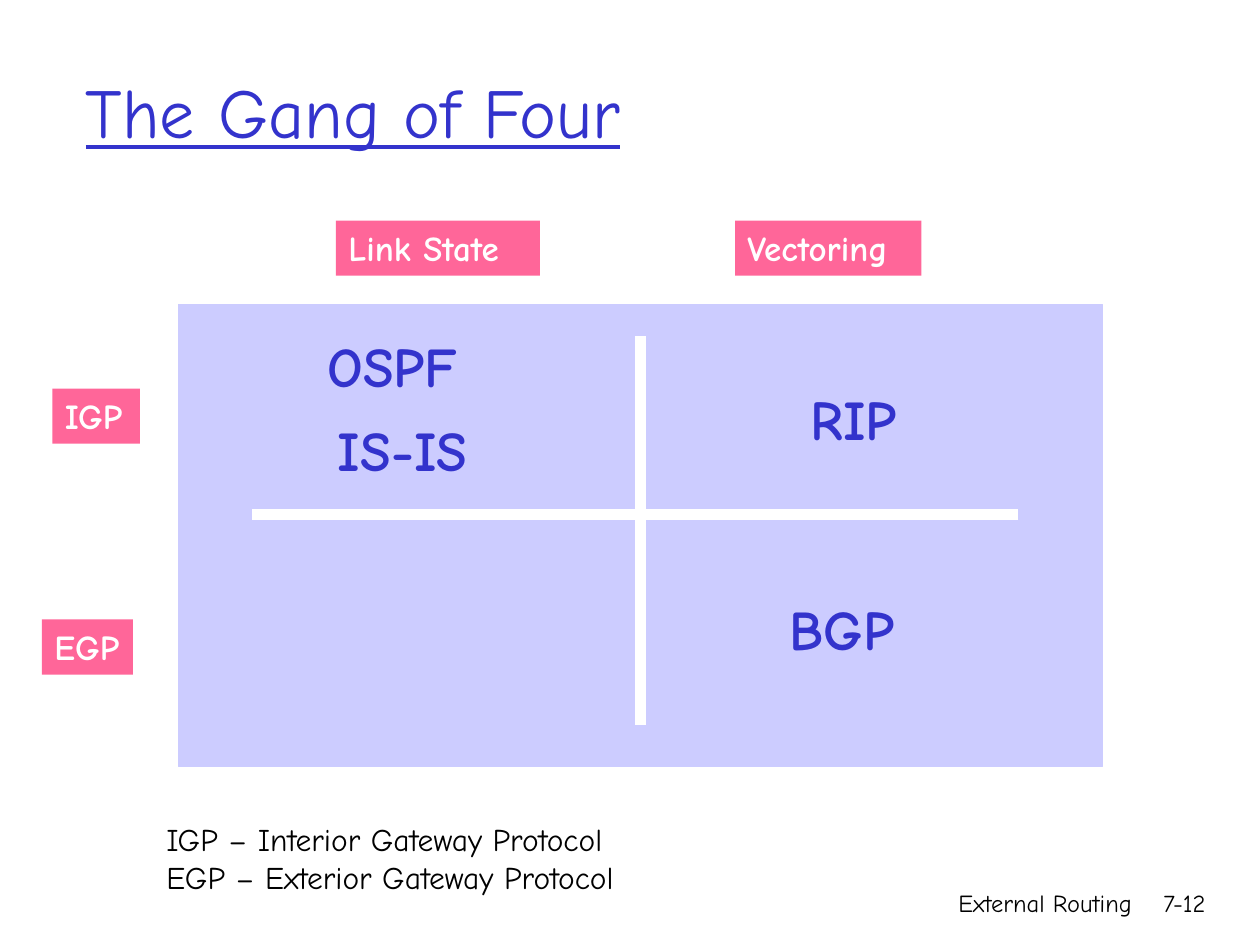
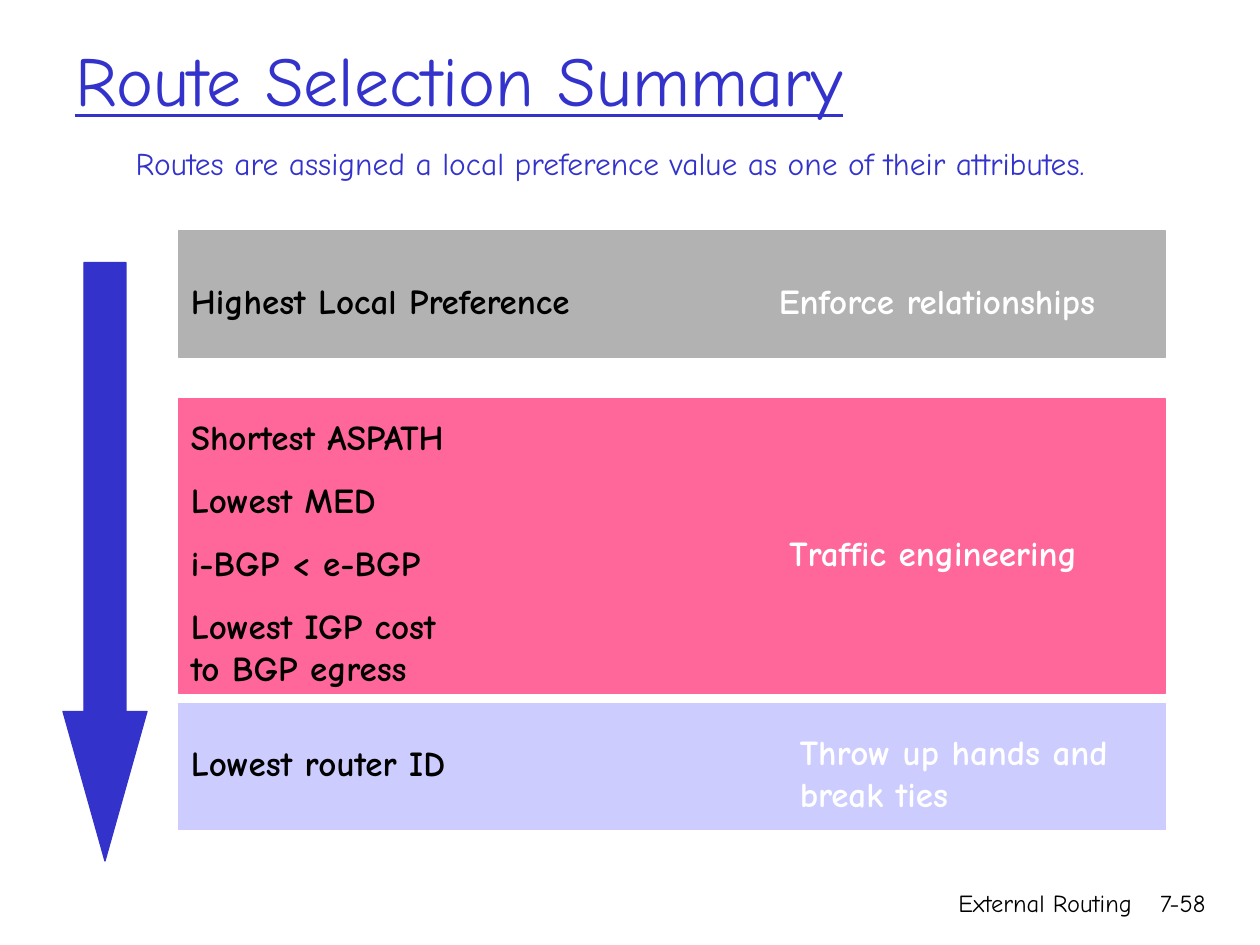
from dataclasses import dataclass

import pptx
import pptx.dml.color
import pptx.enum.shapes
import pptx.enum.text
import pptx.oxml
import pptx.oxml.ns
import pptx.util
from pptx.shapes.autoshape import Shape
from pptx.slide import Slide

Pt = pptx.util.Pt
RECT = pptx.enum.shapes.MSO_SHAPE.RECTANGLE
DOWN_ARROW = pptx.enum.shapes.MSO_SHAPE.DOWN_ARROW
ANCHOR = pptx.enum.text.MSO_ANCHOR
ALIGN = pptx.enum.text.PP_ALIGN
FIT = pptx.enum.text.MSO_AUTO_SIZE

FONT = "Comic Neue"
COLORS = {
    "ink": "000000",
    "white": "FFFFFF",
    "blue": "3333CC",
    "pink": "FF6699",
    "lilac": "CCCCFF",
    "gray": "B2B2B2",
}
LABEL_HEIGHT = 31.5
TWO_LINE_HEIGHT = 55.5


@dataclass(frozen=True)
class Box:
    left: float
    top: float
    width: float
    height: float

    def lengths(self) -> tuple:
        return Pt(self.left), Pt(self.top), Pt(self.width), Pt(self.height)


@dataclass(frozen=True)
class Style:
    size: float
    color: str
    bold: bool = False
    underline: bool = False
    align: ALIGN = ALIGN.LEFT
    anchor: ANCHOR = ANCHOR.TOP
    wrap: bool = True


@dataclass(frozen=True)
class Caption:
    lines: tuple[str, ...]
    box: Box


@dataclass(frozen=True)
class Block:
    box: Box
    color: str


TITLE = Style(40, "blue", underline=True, anchor=ANCHOR.MIDDLE)
FOOTER = Style(14, "ink", align=ALIGN.RIGHT)
LEGEND = Style(18, "ink")
SUBTITLE = Style(18, "blue")
AXIS_LABEL = Style(20, "white", bold=True, wrap=False)
PROTOCOL = Style(32, "blue", bold=True, wrap=False)
CRITERION = Style(20, "ink", bold=True, wrap=False)
PURPOSE = Style(20, "white", bold=True, wrap=False)

AXIS_LABELS = (
    Caption(("Link State",), Box(192, 126, 116.5, LABEL_HEIGHT)),
    Caption(("Vectoring",), Box(420, 126, 106.5, LABEL_HEIGHT)),
    Caption(("EGP",), Box(24, 354, 52, LABEL_HEIGHT)),
    Caption(("IGP",), Box(30, 222, 50, LABEL_HEIGHT)),
)
PROTOCOLS = (
    Caption(("BGP",), Box(444, 336, 89, 45)),
    Caption(("RIP",), Box(456, 216, 75, 45)),
    Caption(("IS-IS",), Box(186, 234, 96.5, 45)),
    Caption(("OSPF",), Box(180, 186, 108.5, 45)),
)
AXES = ((366, 192, 366, 414), (582, 294, 144, 294))

BAND_LEFT, BAND_WIDTH = 102, 564
BANDS = (
    Block(Box(BAND_LEFT, 402, BAND_WIDTH, 72), "lilac"),
    Block(Box(BAND_LEFT, 132, BAND_WIDTH, 72), "gray"),
    Block(Box(BAND_LEFT, 228, BAND_WIDTH, 168), "pink"),
)
CRITERIA = (
    Caption(("Highest Local Preference",), Box(BAND_LEFT, 156, 261, LABEL_HEIGHT)),
    Caption(("Shortest ASPATH",), Box(BAND_LEFT, 234, 193, LABEL_HEIGHT)),
    Caption(("Lowest MED",), Box(BAND_LEFT, 270, 134, LABEL_HEIGHT)),
    Caption(("i-BGP < e-BGP",), Box(BAND_LEFT, 306, 160.5, LABEL_HEIGHT)),
    Caption(("Lowest IGP cost", "to BGP egress"), Box(BAND_LEFT, 342, 182, TWO_LINE_HEIGHT)),
    Caption(("Lowest router ID",), Box(BAND_LEFT, 420, 184, LABEL_HEIGHT)),
)
PURPOSES = (
    Caption(("Traffic engineering",), Box(444, 300, 211.5, LABEL_HEIGHT)),
    Caption(("Enforce relationships",), Box(438, 156, 220.5, LABEL_HEIGHT)),
    Caption(("Throw up hands and", "break ties"), Box(450, 414, 210, TWO_LINE_HEIGHT)),
)


def rgb(name: str) -> pptx.dml.color.RGBColor:
    return pptx.dml.color.RGBColor.from_string(COLORS[name])


def write(shape: Shape, lines: tuple[str, ...], style: Style) -> None:
    frame = shape.text_frame
    frame.word_wrap = style.wrap
    frame.auto_size = FIT.NONE if style.wrap else FIT.SHAPE_TO_FIT_TEXT
    frame.vertical_anchor = style.anchor
    for index, line in enumerate(lines):
        paragraph = frame.add_paragraph() if index else frame.paragraphs[0]
        paragraph.alignment = style.align
        run = paragraph.add_run()
        run.text = line
        run.font.name = FONT
        run.font.size = Pt(style.size)
        run.font.bold = style.bold
        run.font.underline = style.underline
        run.font.color.rgb = rgb(style.color)


def add_caption(slide: Slide, caption: Caption, style: Style) -> None:
    write(slide.shapes.add_textbox(*caption.box.lengths()), caption.lines, style)


def add_block(slide: Slide, block: Block, kind=RECT, outlined: bool = True) -> Shape:
    shape = slide.shapes.add_shape(kind, *block.box.lengths())
    shape.shadow.inherit = False
    shape.fill.solid()
    shape.fill.fore_color.rgb = rgb(block.color)
    if outlined:
        shape.line.color.rgb = rgb(block.color)
        shape.line.width = Pt(0.75)
    else:
        shape.line.fill.background()
    return shape


def add_axis(slide: Slide, ends: tuple[float, float, float, float]) -> None:
    axis = slide.shapes.add_connector(
        pptx.enum.shapes.MSO_CONNECTOR.STRAIGHT, *(Pt(end) for end in ends)
    )
    axis.line.color.rgb = rgb("white")
    axis.line.width = Pt(6)
    axis._element.spPr.append(pptx.oxml.parse_xml(
        f"<a:effectLst {pptx.oxml.ns.nsdecls('a')}/>"
    ))


def add_titled_slide(deck, title: Caption, number: str) -> Slide:
    slide = deck.slides.add_slide(deck.slide_layouts[6])
    add_caption(slide, title, TITLE)
    add_caption(slide, Caption(("External Routing",), Box(426, 504, 228, 36)), FOOTER)
    add_caption(slide, Caption((number,), Box(643, 504, 53, 36)), FOOTER)
    return slide


def build_gang_of_four(deck) -> None:
    title = Caption(("The Gang of Four",), Box(42, 18, 612, 90))
    slide = add_titled_slide(deck, title, "7-12")
    for label in AXIS_LABELS:
        write(add_block(slide, Block(label.box, "pink"), outlined=False), label.lines, AXIS_LABEL)
    add_block(slide, Block(Box(102, 174, 528, 264), "lilac"))
    for ends in AXES:
        add_axis(slide, ends)
    for protocol in PROTOCOLS:
        add_caption(slide, protocol, PROTOCOL)
    legend = ("IGP – Interior Gateway Protocol", "EGP – Exterior Gateway Protocol")
    add_caption(slide, Caption(legend, Box(88, 465, 310, 51)), LEGEND)


def build_route_selection(deck) -> None:
    title = Caption(("Route Selection Summary",), Box(36, 0, 660, 90))
    slide = add_titled_slide(deck, title, "7-58")
    for band in BANDS:
        add_block(slide, band)
    for criterion in CRITERIA:
        add_caption(slide, criterion, CRITERION)
    for purpose in PURPOSES:
        add_caption(slide, purpose, PURPOSE)
    priority = add_block(slide, Block(Box(36, 150, 48, 342), "blue"), DOWN_ARROW)
    priority.adjustments[0] = 0.5
    priority.adjustments[1] = 1.78
    subtitle = ("Routes are assigned a local preference value as one of their attributes.",)
    add_caption(slide, Caption(subtitle, Box(70.5, 79, 628, 29)), SUBTITLE)


def main() -> None:
    deck = pptx.Presentation()
    deck.slide_width, deck.slide_height = Pt(720), Pt(540)
    build_gang_of_four(deck)
    build_route_selection(deck)
    deck.save("out.pptx")


if __name__ == "__main__":
    main()
